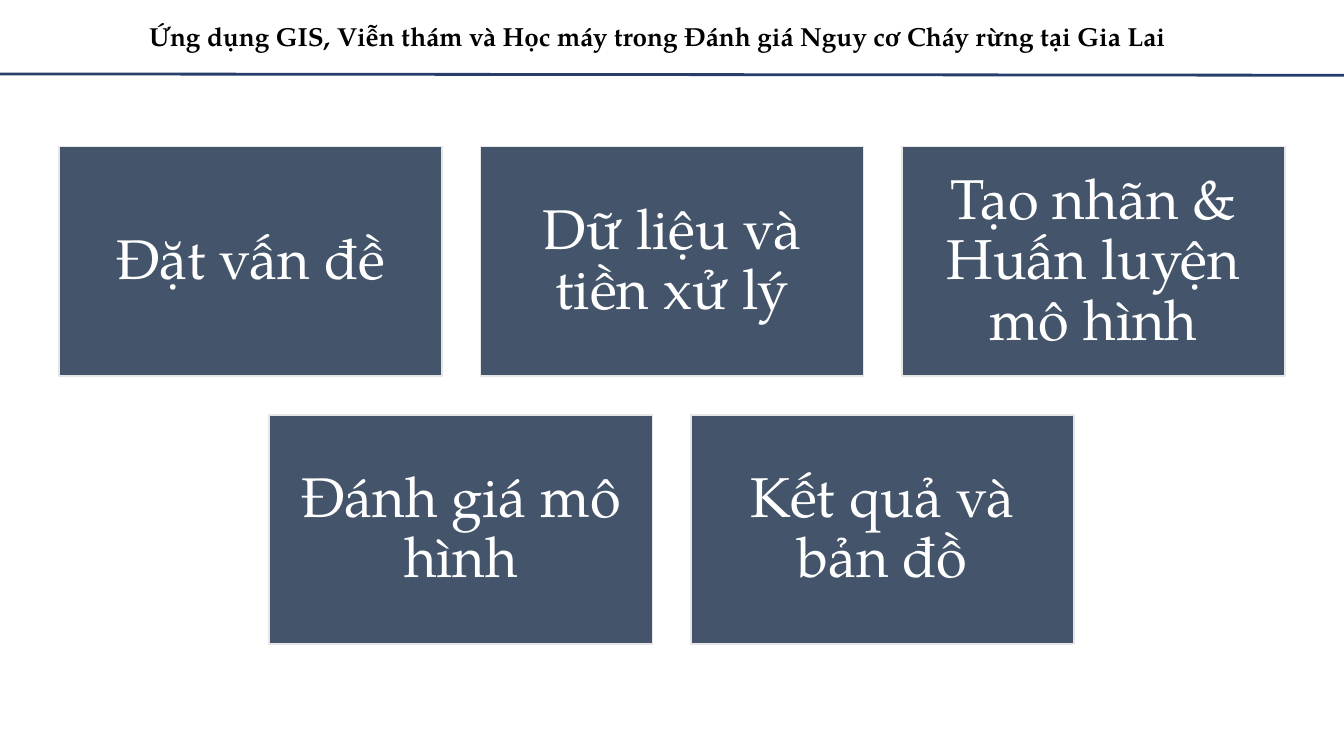
from lxml import etree
from pptx import Presentation
from pptx import util as u
from pptx.dml.color import RGBColor
from pptx.enum import shapes, text
from pptx.oxml.ns import qn

PX = 9144  # EMU per px, 100 px to the inch
SLIDE_WIDTH, SLIDE_HEIGHT = 2000, 1125
FONT = "TeX Gyre Pagella"

BLACK = RGBColor(0x00, 0x00, 0x00)
WHITE = RGBColor(0xFF, 0xFF, 0xFF)
NAVY = RGBColor(0x27, 0x3E, 0x6A)
SLATE = RGBColor(0x44, 0x54, 0x6A)
LIGHT_GREY = RGBColor(0xE7, 0xE6, 0xE6)

TITLE = "Ứng dụng GIS, Viễn thám và Học máy trong Đánh giá Nguy cơ Cháy rừng tại Gia Lai"
TOPIC_ROWS = [
    ["Đặt vấn đề", "Dữ liệu và tiền xử lý", "Tạo nhãn & Huấn luyện mô hình"],
    ["Đánh giá mô hình", "Kết quả và bản đồ"],
]
CARD_WIDTH, CARD_HEIGHT, CARD_GAP = 570, 342, 57
CARDS_TOP = 218
CARD_INSET = 25


def px(*lengths):
    return [u.Emu(length * PX) for length in lengths]


def add_run(paragraph, words, size, color, bold=False):
    run = paragraph.add_run()
    run.text = words
    run.font.name = FONT
    run.font.size = u.Pt(size)
    run.font.bold = bold
    run.font.color.rgb = color


def set_title(slide):
    title = slide.shapes.title
    title.left, title.top, title.width, title.height = px(212, 25, 1576, 57)
    frame = title.text_frame
    frame.word_wrap = True
    frame.auto_size = text.MSO_AUTO_SIZE.NONE
    frame.vertical_anchor = text.MSO_ANCHOR.TOP
    paragraph = frame.paragraphs[0]
    paragraph.alignment = text.PP_ALIGN.LEFT
    add_run(paragraph, TITLE, 28, BLACK, bold=True)


def add_header_rule(slide):
    rule = slide.shapes.add_connector(
        shapes.MSO_CONNECTOR.STRAIGHT, *px(0, 110, SLIDE_WIDTH, 112))
    rule.line.color.rgb = NAVY
    rule.line.width = u.Pt(3)
    etree.SubElement(rule._element.spPr, qn("a:effectLst"))


def add_card(slide, left, top, topic):
    card = slide.shapes.add_shape(
        shapes.MSO_SHAPE.RECTANGLE, *px(left, top, CARD_WIDTH, CARD_HEIGHT))
    card.shadow.inherit = False
    card.fill.solid()
    card.fill.fore_color.rgb = SLATE
    card.line.color.rgb = LIGHT_GREY
    card.line.width = u.Pt(2)

    frame = card.text_frame
    frame.word_wrap = True
    frame.vertical_anchor = text.MSO_ANCHOR.MIDDLE
    (frame.margin_left, frame.margin_top,
     frame.margin_right, frame.margin_bottom) = px(*[CARD_INSET] * 4)
    paragraph = frame.paragraphs[0]
    paragraph.alignment = text.PP_ALIGN.CENTER
    paragraph.line_spacing = 0.9
    add_run(paragraph, topic, 60, WHITE)


def add_topic_cards(slide):
    """Lay out the rows of cards, each row centred on the slide."""
    pitch = CARD_WIDTH + CARD_GAP
    for row, topics in enumerate(TOPIC_ROWS):
        row_width = len(topics) * pitch - CARD_GAP
        row_left = (SLIDE_WIDTH - row_width) // 2
        top = CARDS_TOP + row * (CARD_HEIGHT + CARD_GAP)
        for column, topic in enumerate(topics):
            add_card(slide, row_left + column * pitch, top, topic)


def main():
    presentation = Presentation()
    presentation.slide_width, presentation.slide_height = px(SLIDE_WIDTH, SLIDE_HEIGHT)
    slide = presentation.slides.add_slide(presentation.slide_layouts.get_by_name("Title Only"))
    add_header_rule(slide)
    set_title(slide)
    add_topic_cards(slide)
    presentation.save("out.pptx")


if __name__ == "__main__":
    main()
